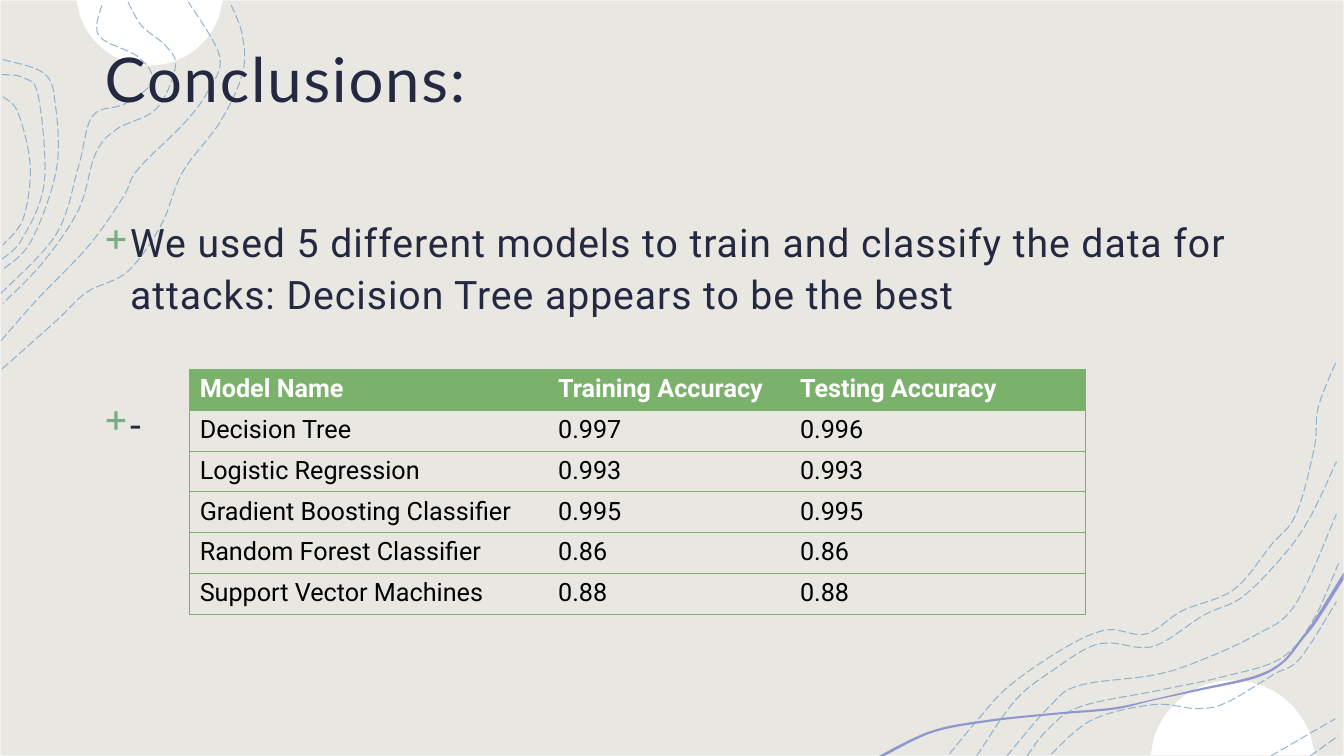
from collections import namedtuple
from math import asin, cos, pi, sin

from lxml import etree
from pptx import Presentation
from pptx.dml.color import RGBColor
from pptx.enum.dml import MSO_LINE
from pptx.enum.shapes import MSO_SHAPE
from pptx.enum.text import MSO_ANCHOR
from pptx.oxml.ns import qn
from pptx.util import Cm, Pt

RECTANGLE = MSO_SHAPE.RECTANGLE
LONG_DASH = MSO_LINE.LONG_DASH
TOP = MSO_ANCHOR.TOP

COLOURS = {"paper": "E8E7E2", "edge": "F2F2F2", "white": "FFFFFF", "contour": "76A0C3",
           "stream": "8F97CE", "ink": "242841", "plus": "77AF82", "table": "7AB16B",
           "black": "000000"}
GRID = Cm(0.0254)  # one step of the curve coordinates
FINE = 10          # drawn units per grid step
Box = namedtuple("Box", "left top width height")

TITLE_FONT = {"name": "Lato", "size": Pt(44)}
BODY_FONT = {"name": "Roboto", "size": Pt(28)}
HEAD_FONT = {"name": "Roboto", "size": Pt(18), "bold": True}
CELL_FONT = {**HEAD_FONT, "bold": False}

TOP_CONTOURS = [
    [(2, 366), (55, 319), (86, 290), (127, 269), (160, 223), (181, 171), (219, 120),
     (241, 71), (240, 33), (228, 2)],
    [(1, 338), (38, 296), (88, 244), (122, 196), (137, 168), (183, 122), (206, 91),
     (218, 56), (187, 2)],
    [(127, 2), (141, 26), (165, 46), (174, 67), (155, 108), (116, 128), (95, 152),
     (78, 208), (42, 261), (3, 301)],
    [(1, 291), (56, 232), (78, 165), (92, 115), (124, 103), (151, 81), (138, 57),
     (98, 35), (102, 2)],
    [(3, 59), (44, 73), (55, 104), (56, 168), (31, 239), (2, 268)],
    [(2, 74), (23, 77), (38, 95), (44, 181), (22, 237), (1, 258)],
    [(3, 96), (18, 112), (30, 165), (23, 217), (3, 243)],
]
BOTTOM_CONTOURS = [
    [(142, 448), (171, 413), (202, 380), (256, 343), (298, 325), (337, 329), (373, 306),
     (424, 285), (461, 241), (486, 210), (504, 144), (508, 104), (526, 58)],
    [(169, 450), (208, 394), (249, 362), (281, 342), (303, 338), (345, 341), (395, 310),
     (433, 292), (476, 248), (501, 211), (526, 158)],
    [(500, 450), (528, 430)],
    [(461, 450), (525, 413)],
    [(243, 448), (284, 414), (345, 399), (388, 403), (417, 397), (464, 369), (490, 353),
     (526, 297)],
    [(219, 450), (239, 424), (272, 401), (349, 385), (415, 371), (471, 353), (503, 315),
     (528, 259)],
    [(199, 450), (242, 400), (271, 380), (343, 370), (384, 358), (444, 331), (485, 300),
     (526, 210)],
]
STREAM = [(533, 275), (507, 316), (493, 334), (473, 358), (445, 373), (391, 385),
          (344, 395), (305, 404), (248, 409), (182, 416), (125, 427), (77, 450),
          (72, 450), (124, 425), (181, 414), (248, 407), (304, 402), (343, 394),
          (390, 383), (443, 371), (471, 357), (491, 333), (504, 315), (533, 268)]
SCORES = [
    ("Model Name", "Training Accuracy", "Testing Accuracy"),
    ("Decision Tree", "0.997", "0.996"),
    ("Logistic Regression", "0.993", "0.993"),
    ("Gradient Boosting Classifier", "0.995", "0.995"),
    ("Random Forest Classifier", "0.86", "0.86"),
    ("Support Vector Machines", "0.88", "0.88"),
]


def colour(name):
    return RGBColor.from_string(COLOURS[name])


def add_child(parent, tag, **values):
    return etree.SubElement(parent, qn(tag), values)


def set_font(font, formats, shade):
    for key, value in formats.items():
        setattr(font, key, value)
    font.color.rgb = colour(shade)


def bend(shape):
    """Turn the straight segments of an outline into one smooth curve."""
    knots = [(int(point.get("x")), int(point.get("y")))
             for point in shape._element.iter(qn("a:pt"))]
    padded = [knots[0], *knots, knots[-1]]
    segments = list(shape._element.iter(qn("a:lnTo")))
    for segment, a, b, c, d in zip(segments, padded, padded[1:], padded[2:], padded[3:]):
        leave = [q + (r - p) / 6 for p, q, r in zip(a, b, c)]
        reach = [q - (r - p) / 6 for p, q, r in zip(b, c, d)]
        curve = etree.Element(qn("a:cubicBezTo"))
        for x, y in (leave, reach, c):
            add_child(curve, "a:pt", x=str(round(x)), y=str(round(y)))
        segment.getparent().replace(segment, curve)


def dome(middle, centre, radius, side, steps=10):
    """Return a disc cut near its centre; side 1 hangs down, -1 stands up."""
    start = asin(8 / radius)
    angles = [start + (pi - 2 * start) * step / steps for step in range(steps + 1)]
    return [(middle + radius * cos(angle), centre + side * radius * sin(angle))
            for angle in angles]


def add_outline(page, box, knots, close):
    points = [(x * FINE, y * FINE) for x, y in knots]
    builder = page.shapes.build_freeform(*points[0], scale=GRID / FINE)
    builder.add_line_segments(points[1:], close=close)
    shape = builder.convert_to_shape(box.left, box.top)
    shape.shadow.inherit = False
    bend(shape)
    return shape


def add_patch(page, box, knots, shade):
    patch = add_outline(page, box, knots, True)
    patch.fill.solid()
    patch.fill.fore_color.rgb = colour(shade)
    patch.line.fill.background()


def add_contours(page, box, contours):
    for knots in contours:
        contour = add_outline(page, box, knots, False)
        contour.fill.background()
        line = contour.line
        line.color.rgb = colour("contour")
        line.width, line.dash_style = Pt(0.75), LONG_DASH
        shade = contour._element.spPr.find(".//" + qn("a:srgbClr"))
        add_child(shade, "a:alpha", val="75000")


def add_backdrop(page, box):
    sheet = page.shapes.add_shape(RECTANGLE, *box)
    sheet.shadow.inherit = False
    sheet.fill.solid()
    sheet.fill.fore_color.rgb = colour("paper")
    sheet.line.color.rgb = colour("edge")
    sheet.line.width = Pt(1)


def add_text_frame(page, box, top_inset):
    frame = page.shapes.add_textbox(*box).text_frame
    formats = {"word_wrap": True, "vertical_anchor": TOP, "margin_left": Cm(0.3),
               "margin_right": Cm(0.3), "margin_top": top_inset, "margin_bottom": Cm(0.25)}
    for key, value in formats.items():
        setattr(frame, key, value)
    return frame


def add_span(para, text, formats, shade, spacing):
    span = para.add_run()
    span.text = text
    set_font(span.font, formats, shade)
    span._r.get_or_add_rPr().set("spc", str(spacing))


def add_title(page, box):
    frame = add_text_frame(page, box, 0)
    add_span(frame.paragraphs[0], "Conclusions:", TITLE_FONT, "ink", 130)


def add_findings(page, box):
    frame = add_text_frame(page, box, Cm(0.3))
    findings = [("We used 5 different models to train and classify the data for attacks: "
                 "Decision Tree appears to be the best", 10), ("-", 56)]
    for index, (text, gap) in enumerate(findings):
        para = frame.add_paragraph() if index else frame.paragraphs[0]
        para.line_spacing, para.space_before = 1.1, Pt(gap)
        props = para._p.get_or_add_pPr()
        props.set("marL", str(Cm(0.64)))
        props.set("indent", str(-Cm(0.64)))
        add_child(add_child(props, "a:buClr"), "a:srgbClr", val=COLOURS["plus"])
        add_child(props, "a:buChar", char="+")
        add_span(para, text, BODY_FONT, "ink", 70)


def set_borders(cell, sides):
    props = cell._tc.get_or_add_tcPr()
    for position, side in enumerate("LRTB"):
        border = etree.Element(qn("a:ln" + side), w=str(Pt(0.5)))
        if side in sides:
            add_child(add_child(border, "a:solidFill"), "a:srgbClr", val=COLOURS["table"])
        else:
            add_child(border, "a:noFill")
        props.insert(position, border)


def add_scores(page, box):
    table = page.shapes.add_table(len(SCORES), len(SCORES[0]), *box).table
    table.horz_banding = False
    for column, share in zip(table.columns, (0.4, 0.27, 0.33)):
        column.width = int(box.width * share)
    for row, texts in enumerate(SCORES):
        for column, text in enumerate(texts):
            cell = table.cell(row, column)
            cell.text = text
            font = cell.text_frame.paragraphs[0].runs[0].font
            if row == 0:
                cell.fill.solid()
                cell.fill.fore_color.rgb = colour("table")
                set_font(font, HEAD_FONT, "white")
            else:
                cell.fill.background()
                set_font(font, CELL_FONT, "black")
            set_borders(cell, "TB" + {0: "L", len(texts) - 1: "R"}.get(column, ""))


def main():
    deck = Presentation()
    deck.slide_width, deck.slide_height = Cm(33.87), Cm(19.05)
    page = deck.slides.add_slide(deck.slide_layouts[6])
    whole = Box(0, 0, deck.slide_width, deck.slide_height)
    corner = Box(Cm(20.32), Cm(7.62), Cm(13.55), Cm(11.43))
    add_backdrop(page, whole)
    add_patch(page, whole, dome(148.5, -8, 73, 1), "white")
    add_patch(page, corner, dome(423, 457, 82, -1), "white")
    add_patch(page, corner, STREAM, "stream")
    add_contours(page, whole, TOP_CONTOURS)
    add_contours(page, corner, BOTTOM_CONTOURS)
    add_title(page, Box(Cm(2.34), Cm(1.02), Cm(29.21), Cm(3.68)))
    add_findings(page, Box(Cm(2.34), Cm(5.08), Cm(29.21), Cm(12.09)))
    add_scores(page, Box(Cm(4.78), Cm(9.3), Cm(22.58), Cm(6.18)))
    deck.save("out.pptx")


if __name__ == "__main__":
    main()
